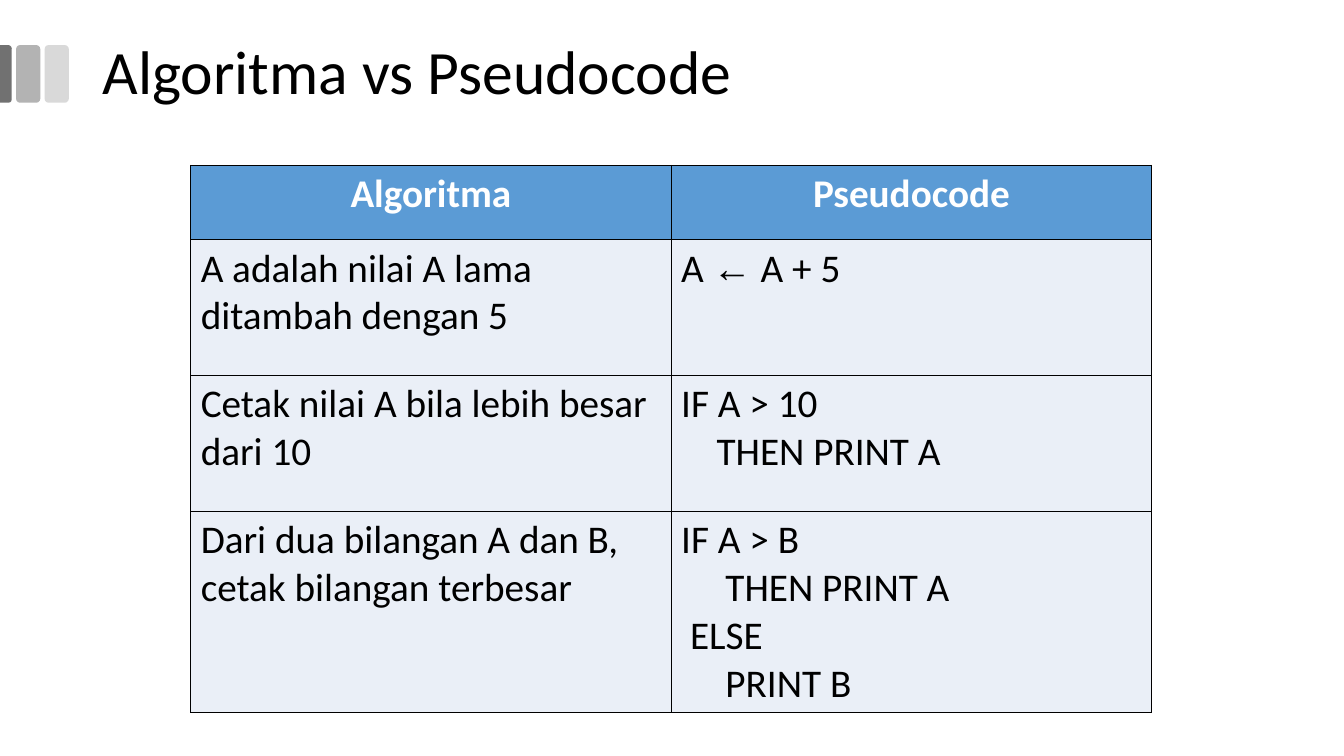
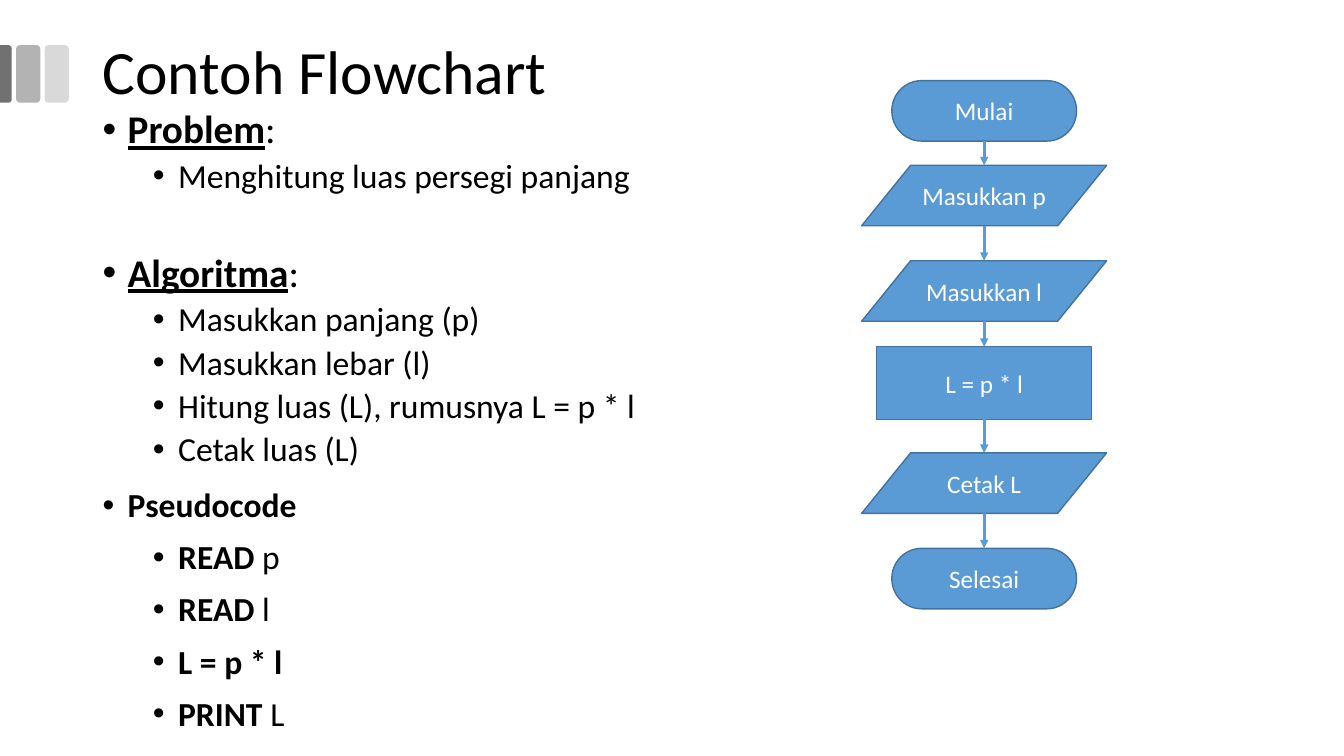
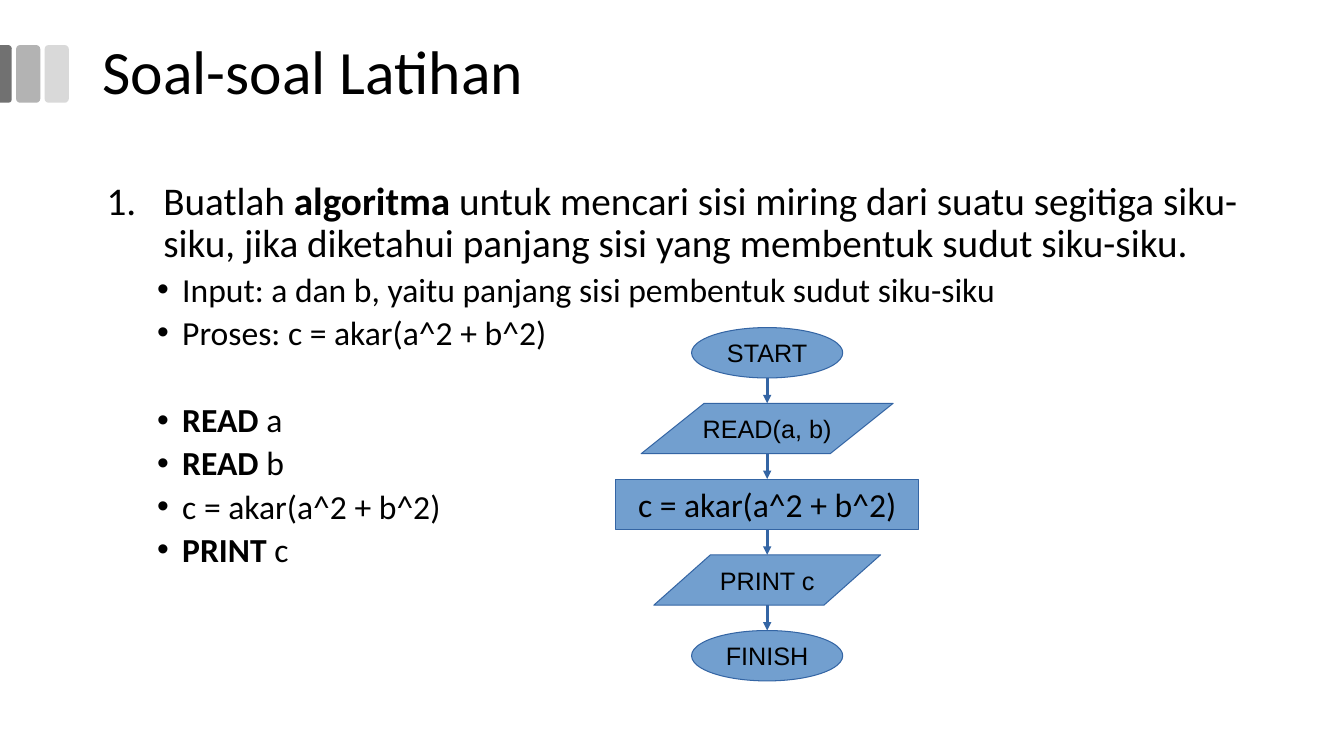
"""Build three slides on algorithms, pseudocode and flowcharts."""
import dataclasses

import pptx
import pptx.dml.color
import pptx.enum.shapes
import pptx.enum.text
import pptx.oxml
import pptx.oxml.ns
import pptx.util

Pt = pptx.util.Pt
SHAPE = pptx.enum.shapes.MSO_SHAPE
ALIGN = pptx.enum.text.PP_ALIGN
ANCHOR = pptx.enum.text.MSO_ANCHOR
NAMESPACE = pptx.oxml.ns.nsdecls("a")

COLORS = {
    "black": "000000",
    "white": "FFFFFF",
    "bar_dark": "717171",
    "bar_middle": "B3B3B3",
    "bar_light": "D9D9D9",
    "blue": "5B9BD5",
    "blue_edge": "43729D",
    "cell": "EAEFF7",
    "steel": "729FCF",
    "steel_edge": "3465A4",
}
FONT = "Calibri"
SYMBOL_FONT = "Arial"
TITLE_BOX = (66.2, 0.7, 828, 104.4)

BULLET = '<a:buChar {} char="•"/>'
NUMBER = '<a:buAutoNum {} type="arabicPeriod"/>'
LEVELS = {
    "topic": (18, 18, BULLET),
    "item": (54, 18, BULLET),
    "question": (40.5, 40.5, NUMBER),
}
RECTANGULAR = (SHAPE.RECTANGLE, SHAPE.FLOWCHART_PROCESS, SHAPE.FLOWCHART_TERMINATOR)


@dataclasses.dataclass
class Step:
    """One flowchart step, with its top relative to the chart."""

    kind: int
    text: str
    top: float
    width: float
    height: float
    size: float = 18
    font: str = FONT


@dataclasses.dataclass
class FlowStyle:
    """Colours and line widths of a flowchart."""

    fill: str
    edge: str
    text: str
    arrow: str
    edge_width: float


TABLE_HEADER = ("Algoritma", "Pseudocode")
TABLE_ROWS = (
    ("A adalah nilai A lama ditambah dengan 5",
     [(0, ("A ", "←", " A + 5"))]),
    ("Cetak nilai A bila lebih besar dari 10",
     [(0, ("IF A > 10",)), (25.3, ("THEN PRINT A",))]),
    ("Dari dua bilangan A dan B, cetak bilangan terbesar",
     [(0, ("IF A > B",)), (31.6, ("THEN PRINT A",)),
      (6.3, ("ELSE",)), (31.6, ("PRINT B",))]),
)
ROW_HEIGHTS = (53, 97, 97, 144)

RECTANGLE_NOTES = (
    ("topic", 10, 28, [("Problem", "bu"), (":", "")]),
    ("item", 5, 24, [("Menghitung luas persegi panjang", "")]),
    ("topic", 41.4, 28, [("Algoritma", "bu"), (":", "")]),
    ("item", 5, 24, [("Masukkan panjang (p)", "")]),
    ("item", 5, 24, [("Masukkan lebar (l)", "")]),
    ("item", 5, 24, [("Hitung luas (L), rumusnya L = p * l", "")]),
    ("item", 5, 24, [("Cetak luas (L)", "")]),
    ("topic", 14.2, 24, [("Pseudocode", "b")]),
    ("item", 11.3, 24, [("READ ", "b"), ("p", "")]),
    ("item", 11.3, 24, [("READ ", "b"), ("l", "")]),
    ("item", 11.3, 24, [("L = p * l", "b")]),
    ("item", 11.3, 24, [("PRINT ", "b"), ("L", "")]),
)
RECTANGLE_STEPS = (
    Step(SHAPE.FLOWCHART_TERMINATOR, "Mulai", 0, 132, 43.2),
    Step(SHAPE.FLOWCHART_DATA, "Masukkan p", 60.5, 175, 43.2),
    Step(SHAPE.FLOWCHART_DATA, "Masukkan l", 128.7, 175, 43.2),
    Step(SHAPE.FLOWCHART_PROCESS, "L = p * l", 190.1, 153.4, 51.8),
    Step(SHAPE.FLOWCHART_DATA, "Cetak L", 265.9, 175, 43.2),
    Step(SHAPE.FLOWCHART_TERMINATOR, "Selesai", 334.1, 132, 43.2),
)

TRIANGLE_NOTES = (
    ("question", 10, 28, [
        ("Buatlah ", ""), ("algoritma", "b"),
        (" untuk mencari sisi miring dari suatu segitiga siku-siku, jika "
         "diketahui panjang sisi yang membentuk sudut siku-siku.", "")]),
    ("item", 5, 24, [("Input: a dan b, yaitu panjang sisi pembentuk sudut siku-siku", "")]),
    ("item", 5, 24, [("Proses: c = akar(a^2 + b^2)", "")]),
    ("item", 36.4, 24, [("READ", "b"), (" a", "")]),
    ("item", 5, 24, [("READ", "b"), (" b", "")]),
    ("item", 5, 24, [("c = akar(a^2 + b^2)", "")]),
    ("item", 5, 24, [("PRINT", "b"), (" c", "")]),
)
TRIANGLE_PITCH = 54.1
TRIANGLE_STEPS = tuple(
    Step(kind, text, TRIANGLE_PITCH * index, width, 36, size, font)
    for index, (kind, text, width, size, font) in enumerate((
        (SHAPE.OVAL, "START", 108, 18, "Arial"),
        (SHAPE.PARALLELOGRAM, "READ(a, b)", 180, 18, "Arial"),
        (SHAPE.RECTANGLE, "c = akar(a^2 + b^2)", 216, 24, FONT),
        (SHAPE.PARALLELOGRAM, "PRINT c", 162, 18, "Arial"),
        (SHAPE.OVAL, "FINISH", 108, 18, "Arial"),
    ))
)


def rgb(name):
    """Return the named colour."""
    return pptx.dml.color.RGBColor.from_string(COLORS[name])


def add_run(paragraph, text, size, color="black", font=FONT, style=""):
    """Add a run; the style letters are b for bold and u for underline."""
    run = paragraph.add_run()
    run.text = text
    run.font.size = Pt(size)
    run.font.name = font
    run.font.bold = "b" in style
    run.font.underline = "u" in style
    run.font.color.rgb = rgb(color)


def next_paragraph(text_frame, index):
    """Return the first paragraph for index 0, otherwise a new one."""
    return text_frame.add_paragraph() if index else text_frame.paragraphs[0]


def add_filled_shape(slide, kind, box, fill, edge=None, edge_width=0):
    """Add a preset shape with a plain fill and an optional outline."""
    shape = slide.shapes.add_shape(kind, *map(Pt, box))
    shape.shadow.inherit = False
    shape.fill.solid()
    shape.fill.fore_color.rgb = rgb(fill)
    if edge:
        shape.line.color.rgb = rgb(edge)
        shape.line.width = Pt(edge_width)
    else:
        shape.line.fill.background()
    return shape


def add_text_box(slide, box):
    """Add a wrapping text box and return its text frame."""
    text_frame = slide.shapes.add_textbox(*map(Pt, box)).text_frame
    text_frame.word_wrap = True
    return text_frame


def add_bars(slide, top, height):
    """Add the three grey bars at the left edge."""
    for left, color in ((31.9, "bar_light"), (11.5, "bar_middle")):
        add_filled_shape(slide, SHAPE.ROUNDED_RECTANGLE, (left, top, 17.3, height), color)
    thickness, center = 8.6, 4.1
    box = (center - height / 2, top + (height - thickness) / 2, height, thickness)
    edge_bar = add_filled_shape(slide, SHAPE.ROUND_2_SAME_RECTANGLE, box, "bar_dark")
    edge_bar.adjustments[0] = 0.29
    edge_bar.rotation = 90


def add_titled_slide(presentation, title):
    """Add a blank slide with the grey bars and the title."""
    slide = presentation.slides.add_slide(presentation.slide_layouts[6])
    add_bars(slide, 32.2, 41.2)
    text_frame = add_text_box(slide, TITLE_BOX)
    text_frame.vertical_anchor = ANCHOR.MIDDLE
    paragraph = text_frame.paragraphs[0]
    paragraph.line_spacing = 0.9
    add_run(paragraph, title, 44)
    return slide


def add_notes_list(slide, box, entries):
    """Add a bulleted or numbered list."""
    text_frame = add_text_box(slide, box)
    for index, (level, space, size, runs) in enumerate(entries):
        paragraph = next_paragraph(text_frame, index)
        paragraph.line_spacing = 0.9
        paragraph.space_before = Pt(space)
        margin, hanging, marker = LEVELS[level]
        properties = paragraph._p.get_or_add_pPr()
        properties.set("marL", str(Pt(margin)))
        properties.set("indent", str(-Pt(hanging)))
        marker_font = "Arial" if marker == BULLET else FONT
        properties.append(pptx.oxml.parse_xml(f'<a:buFont {NAMESPACE} typeface="{marker_font}"/>'))
        properties.append(pptx.oxml.parse_xml(marker.format(NAMESPACE)))
        for text, style in runs:
            add_run(paragraph, text, size, style=style)


def add_arrow(slide, upper, lower, color):
    """Add an arrow from the bottom of one shape to the top of the next."""
    center = upper.left + upper.width // 2
    connector = slide.shapes.add_connector(
        pptx.enum.shapes.MSO_CONNECTOR.STRAIGHT,
        center, upper.top + upper.height, center, lower.top)
    if upper.auto_shape_type in RECTANGULAR:
        connector.begin_connect(upper, 2)
    if lower.auto_shape_type in RECTANGULAR:
        connector.end_connect(lower, 0)
    connector.line.color.rgb = rgb(color)
    connector.line.width = Pt(0)
    connector.line._get_or_add_ln().append(
        pptx.oxml.parse_xml(f'<a:tailEnd {NAMESPACE} type="triangle"/>'))
    connector._element.spPr.append(pptx.oxml.parse_xml(f"<a:effectLst {NAMESPACE}/>"))


def add_flowchart(slide, center, top, steps, style):
    """Add steps centred on a vertical axis and joined by arrows."""
    shapes = []
    for step in steps:
        box = (center - step.width / 2, top + step.top, step.width, step.height)
        shape = add_filled_shape(slide, step.kind, box, style.fill, style.edge, style.edge_width)
        if step.kind == SHAPE.PARALLELOGRAM:
            shape.adjustments[0] = step.width / step.height / 4
        shape.text_frame.vertical_anchor = ANCHOR.MIDDLE
        paragraph = shape.text_frame.paragraphs[0]
        paragraph.alignment = ALIGN.CENTER
        add_run(paragraph, step.text, step.size, style.text, step.font)
        shapes.append(shape)
    for upper, lower in zip(shapes, shapes[1:]):
        add_arrow(slide, upper, lower, style.arrow)


def format_cell(cell, fill):
    """Give a cell thin black borders and a plain fill."""
    properties = cell._tc.get_or_add_tcPr()
    for side in "LRTB":
        properties.append(pptx.oxml.parse_xml(
            f'<a:ln{side} {NAMESPACE} w="{Pt(0.96)}"><a:solidFill>'
            f'<a:srgbClr val="{COLORS["black"]}"/></a:solidFill></a:ln{side}>'))
    cell.fill.solid()
    cell.fill.fore_color.rgb = rgb(fill)


def add_comparison_table(slide, box):
    """Add the table that sets algorithms beside pseudocode."""
    table = slide.shapes.add_table(len(ROW_HEIGHTS), 2, *map(Pt, box)).table
    for row, height in zip(table.rows, ROW_HEIGHTS):
        row.height = Pt(height)
    for column, heading in enumerate(TABLE_HEADER):
        cell = table.cell(0, column)
        format_cell(cell, "blue")
        paragraph = cell.text_frame.paragraphs[0]
        paragraph.alignment = ALIGN.CENTER
        add_run(paragraph, heading, 28, "white", style="b")
    for row, (algorithm, code) in enumerate(TABLE_ROWS, 1):
        for column, lines in enumerate(([(0, (algorithm,))], code)):
            cell = table.cell(row, column)
            format_cell(cell, "cell")
            for index, (indent, texts) in enumerate(lines):
                paragraph = next_paragraph(cell.text_frame, index)
                paragraph._p.get_or_add_pPr().set("marL", str(Pt(indent)))
                for text in texts:
                    font = SYMBOL_FONT if text == "←" else FONT
                    add_run(paragraph, text, 28, font=font)


def main():
    """Build and save the presentation."""
    presentation = pptx.Presentation()
    presentation.slide_width, presentation.slide_height = Pt(960), Pt(540)

    slide = add_titled_slide(presentation, "Algoritma vs Pseudocode")
    add_comparison_table(slide, (136.2, 118.2, 686.4, sum(ROW_HEIGHTS)))

    slide = add_titled_slide(presentation, "Contoh Flowchart")
    add_notes_list(slide, (66.2, 74.9, 828, 447), RECTANGLE_NOTES)
    blue_style = FlowStyle("blue", "blue_edge", "white", "blue", 1)
    add_flowchart(slide, 703, 57.6, RECTANGLE_STEPS, blue_style)

    slide = add_titled_slide(presentation, "Soal-soal Latihan")
    add_notes_list(slide, (69.1, 126, 828, 342.7), TRIANGLE_NOTES)
    steel_style = FlowStyle("steel", "steel_edge", "black", "steel_edge", 0)
    add_flowchart(slide, 548, 234, TRIANGLE_STEPS, steel_style)

    presentation.save("out.pptx")


if __name__ == "__main__":
    main()
